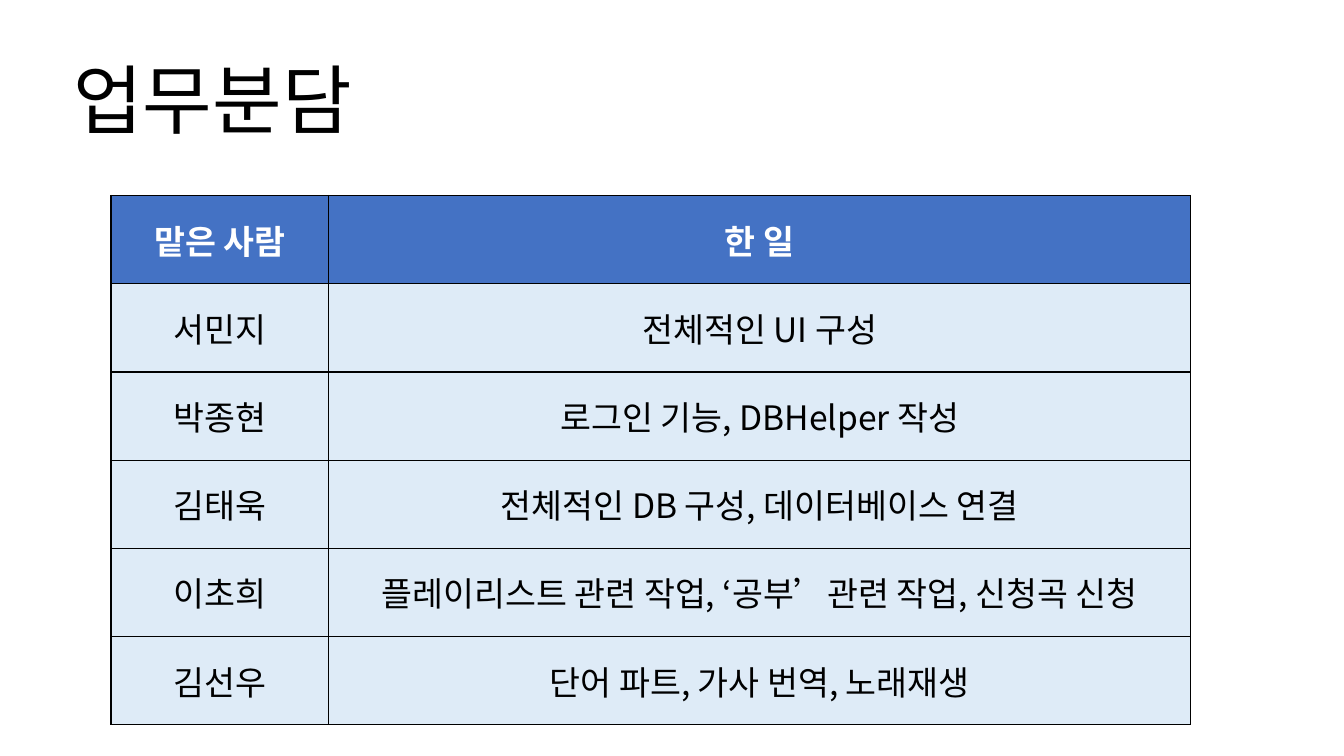
"""Build the slide that shows who did which part of the work."""
from dataclasses import dataclass

from lxml.etree import SubElement
from pptx import Presentation
from pptx.dml.color import RGBColor
from pptx.enum.text import MSO_ANCHOR, PP_ALIGN
from pptx.oxml.ns import qn
from pptx.util import Inches, Pt

FONT = "Noto Sans CJK KR"
COLORS = {"black": "000000", "white": "FFFFFF", "head": "4472C4", "body": "DEEBF7"}
WIDTHS = (2.16, 8.55)
HEIGHT = 5.25


@dataclass
class Duty:
    person: str
    task: str


@dataclass
class Style:
    fill: str
    color: str
    bold: bool


HEAD = Style("head", "white", True)
BODY = Style("body", "black", False)
DUTIES = [
    Duty("맡은 사람", "한 일"),
    Duty("서민지", "전체적인 UI 구성"),
    Duty("박종현", "로그인 기능, DBHelper 작성"),
    Duty("김태욱", "전체적인 DB 구성, 데이터베이스 연결"),
    Duty("이초희", "플레이리스트 관련 작업, ‘공부’관련 작업, 신청곡 신청"),
    Duty("김선우", "단어 파트, 가사 번역, 노래재생"),
]


def set_font(frame, size: float, color: str, bold: bool = False) -> None:
    """Format every run of a text frame."""
    for par in frame.paragraphs:
        for run in par.runs:
            font = run.font
            font.name = FONT
            font.size = Pt(size)
            font.bold = bold
            font.color.rgb = RGBColor.from_string(COLORS[color])
            SubElement(font._element, qn("a:ea"), typeface=FONT)


def set_lines(cell) -> None:
    """Draw a thin black line on each side of a cell."""
    props = cell._tc.get_or_add_tcPr()
    for spot, side in enumerate(("lnL", "lnR", "lnT", "lnB")):
        line = SubElement(props, qn(f"a:{side}"), w=str(Pt(1)))
        fill = SubElement(line, qn("a:solidFill"))
        SubElement(fill, qn("a:srgbClr"), val=COLORS["black"])
        props.insert(spot, line)


def fill_cell(cell, text: str, style: Style) -> None:
    """Write and style one table cell."""
    cell.text_frame.text = text
    cell.text_frame.paragraphs[0].alignment = PP_ALIGN.CENTER
    cell.vertical_anchor = MSO_ANCHOR.MIDDLE
    set_font(cell.text_frame, 24, style.color, style.bold)
    cell.fill.solid()
    cell.fill.fore_color.rgb = RGBColor.from_string(COLORS[style.fill])
    set_lines(cell)


def add_title(slide, text: str) -> None:
    """Place the slide title."""
    box = slide.shapes.add_textbox(Inches(0.63), Inches(0.31), Inches(11.5), Inches(1.45))
    frame = box.text_frame
    frame.word_wrap = True
    frame.vertical_anchor = MSO_ANCHOR.MIDDLE
    frame.text = text
    frame.paragraphs[0].line_spacing = 0.9
    set_font(frame, 54, "black")


def add_duties(slide, duties: list[Duty]) -> None:
    """Place the table of duties."""
    table = slide.shapes.add_table(
        len(duties), len(WIDTHS), Inches(1.1), Inches(1.94),
        Inches(sum(WIDTHS)), Inches(HEIGHT),
    ).table
    for col, width in zip(table.columns, WIDTHS):
        col.width = Inches(width)
    for index, duty in enumerate(duties):
        table.rows[index].height = Inches(HEIGHT / len(duties))
        style = BODY if index else HEAD
        for cell, text in zip(table.rows[index].cells, (duty.person, duty.task)):
            fill_cell(cell, text, style)


def main() -> None:
    """Build and save the deck."""
    deck = Presentation()
    deck.slide_width, deck.slide_height = Inches(13.33), Inches(7.5)
    slide = deck.slides.add_slide(deck.slide_layouts[6])
    add_title(slide, "업무분담")
    add_duties(slide, DUTIES)
    deck.save("out.pptx")


if __name__ == "__main__":
    main()
